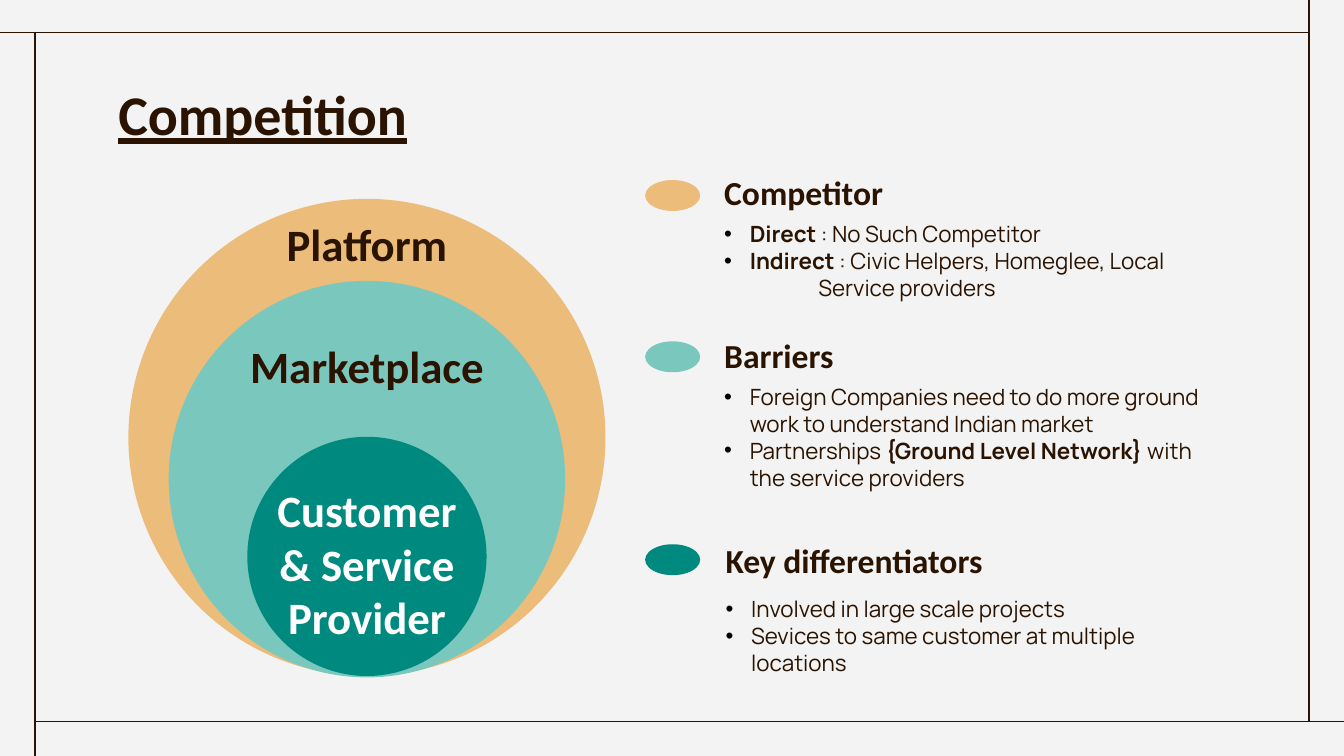
from lxml.etree import SubElement
from pptx import Presentation
from pptx.dml.color import RGBColor
from pptx.enum.shapes import MSO_CONNECTOR, MSO_SHAPE
from pptx.enum.text import MSO_ANCHOR as Anchor, MSO_AUTO_SIZE as AutoSize, PP_ALIGN as Align
from pptx.oxml.ns import qn
from pptx.util import Inches, Pt

INK, PAPER, WHITE = "2A1401", "F3F3F3", "FFFFFF"
SAND, MINT, TEAL = "EBBC7A", "7AC7BE", "00897E"
WIDTH = 10
HEIGHT = WIDTH * 9 / 16


def color(value):
    return RGBColor.from_string(value)


class SlideBuilder:
    heading_font = "Calibri"
    body_font = "Manrope"
    margin = 0.1
    bullet_indent = 0.19

    def __init__(self, slide):
        self.slide = slide
        background = slide.background.fill
        background.solid()
        background.fore_color.rgb = color(PAPER)

    def style_run(self, run, font, size, ink, bold):
        run.font.name = font
        run.font.size = Pt(size)
        run.font.bold = bold
        run.font.color.rgb = color(ink)

    def style_frame(self, frame, anchor):
        frame.word_wrap = True
        frame.auto_size = AutoSize.NONE
        frame.vertical_anchor = anchor
        frame.margin_left = frame.margin_right = Inches(self.margin)
        frame.margin_top = frame.margin_bottom = Inches(self.margin)

    def text_frame(self, left, top, width, height, anchor=Anchor.TOP):
        box = self.slide.shapes.add_textbox(
            Inches(left), Inches(top), Inches(width), Inches(height))
        self.style_frame(box.text_frame, anchor)
        return box.text_frame

    def title(self, text, left, top, width, height):
        title = self.slide.shapes.title
        title.left, title.top = Inches(left), Inches(top)
        title.width, title.height = Inches(width), Inches(height)
        title.text_frame.text = text
        self.style_frame(title.text_frame, Anchor.TOP)
        paragraph = title.text_frame.paragraphs[0]
        paragraph.alignment = Align.LEFT
        self.style_run(paragraph.runs[0], self.heading_font, 30, INK, True)
        paragraph.runs[0].font.underline = True

    def frame_line(self, x1, y1, x2, y2):
        line = self.slide.shapes.add_connector(
            MSO_CONNECTOR.STRAIGHT, Inches(x1), Inches(y1), Inches(x2), Inches(y2))
        line.line.color.rgb = color(INK)
        line.line.width = Pt(0.75)
        SubElement(line._element.spPr, qn("a:effectLst"))

    def ellipse(self, left, top, width, height, fill):
        ellipse = self.slide.shapes.add_shape(
            MSO_SHAPE.OVAL, Inches(left), Inches(top), Inches(width), Inches(height))
        ellipse.shadow.inherit = False
        ellipse.fill.solid()
        ellipse.fill.fore_color.rgb = color(fill)
        ellipse.line.fill.background()

    def label(self, text, left, top, width, height, size, ink=INK,
              align=Align.LEFT, anchor=Anchor.TOP):
        frame = self.text_frame(left, top, width, height, anchor)
        frame.text = text
        paragraph = frame.paragraphs[0]
        paragraph.alignment = align
        self.style_run(paragraph.runs[0], self.heading_font, size, ink, True)

    def bullet(self, paragraph):
        props = paragraph._p.get_or_add_pPr()
        props.set("marL", str(Inches(self.bullet_indent)))
        props.set("indent", str(-Inches(self.bullet_indent)))
        bullet_color = SubElement(props, qn("a:buClr"))
        SubElement(bullet_color, qn("a:srgbClr"), val="000000")
        SubElement(props, qn("a:buFont"), typeface="Arial")
        SubElement(props, qn("a:buChar"), char="•")

    def points(self, items, left, top, width, height, continuation=None):
        frame = self.text_frame(left, top, width, height)
        for index, item in enumerate(items):
            paragraph = frame.add_paragraph() if index else frame.paragraphs[0]
            self.bullet(paragraph)
            self.mixed_text(paragraph, item)
        if continuation:
            paragraph = frame.add_paragraph()
            paragraph._p.get_or_add_pPr().set("marL", str(Inches(0.7)))
            self.mixed_text(paragraph, continuation)

    def mixed_text(self, paragraph, marked_text):
        for index, part in enumerate(marked_text.split("**")):
            if part:
                run = paragraph.add_run()
                run.text = part
                self.style_run(run, self.body_font, 12, INK, index % 2 == 1)


def main():
    deck = Presentation()
    deck.slide_width, deck.slide_height = Inches(WIDTH), Inches(HEIGHT)
    builder = SlideBuilder(deck.slides.add_slide(deck.slide_layouts[5]))

    frame_left, frame_top, frame_right, frame_bottom = 0.26, 0.24, 9.74, 5.37
    builder.frame_line(frame_right, frame_bottom, frame_right, 0)
    builder.frame_line(frame_right, frame_top, 0, frame_top)
    builder.frame_line(frame_left, HEIGHT, frame_left, frame_top)
    builder.frame_line(WIDTH, frame_bottom, frame_left, frame_bottom)

    builder.title("Competition", 0.78, 0.49, 8.44, 0.63)

    center = 2.73
    for top, diameter, fill in ((1.48, 3.55, SAND), (2.09, 2.95, MINT), (3.25, 1.78, TEAL)):
        builder.ellipse(center - diameter / 2, top, diameter, diameter, fill)

    layers = (
        ("Platform", 1.51, 1.59, INK),
        ("Marketplace", 2.42, 2.17, INK),
        ("Customer & Service Provider", 3.49, 1.78, WHITE),
    )
    for text, top, width, ink in layers:
        builder.label(text, center - width / 2, top, width, 0.61, 24, ink, Align.CENTER)

    sections = (
        ("Competitor", SAND, 1.34, 5.29, 1.22, 1.54, 0.92,
         ("**Direct** : No Such Competitor",
          "**Indirect** : Civic Helpers, Homeglee, Local"),
         "Service providers"),
        ("Barriers", MINT, 2.54, 5.29, 2.43, 2.75, 1.21,
         ("Foreign Companies need to do more ground work to understand Indian market",
          "Partnerships **{Ground Level Network}** with the service providers"),
         None),
        ("Key differentiators", TEAL, 4.05, 5.3, 3.96, 4.33, 0.92,
         ("Involved in large scale projects",
          "Sevices to same customer at multiple locations"),
         None),
    )
    for heading, fill, key_top, left, top, body_top, body_height, items, rest in sections:
        builder.label(heading, left, top, 3.92, 0.46, 18, anchor=Anchor.BOTTOM)
        builder.points(items, left, body_top, 3.92, body_height, rest)
        builder.ellipse(4.8, key_top, 0.41, 0.23, fill)

    deck.save("out.pptx")


if __name__ == "__main__":
    main()
